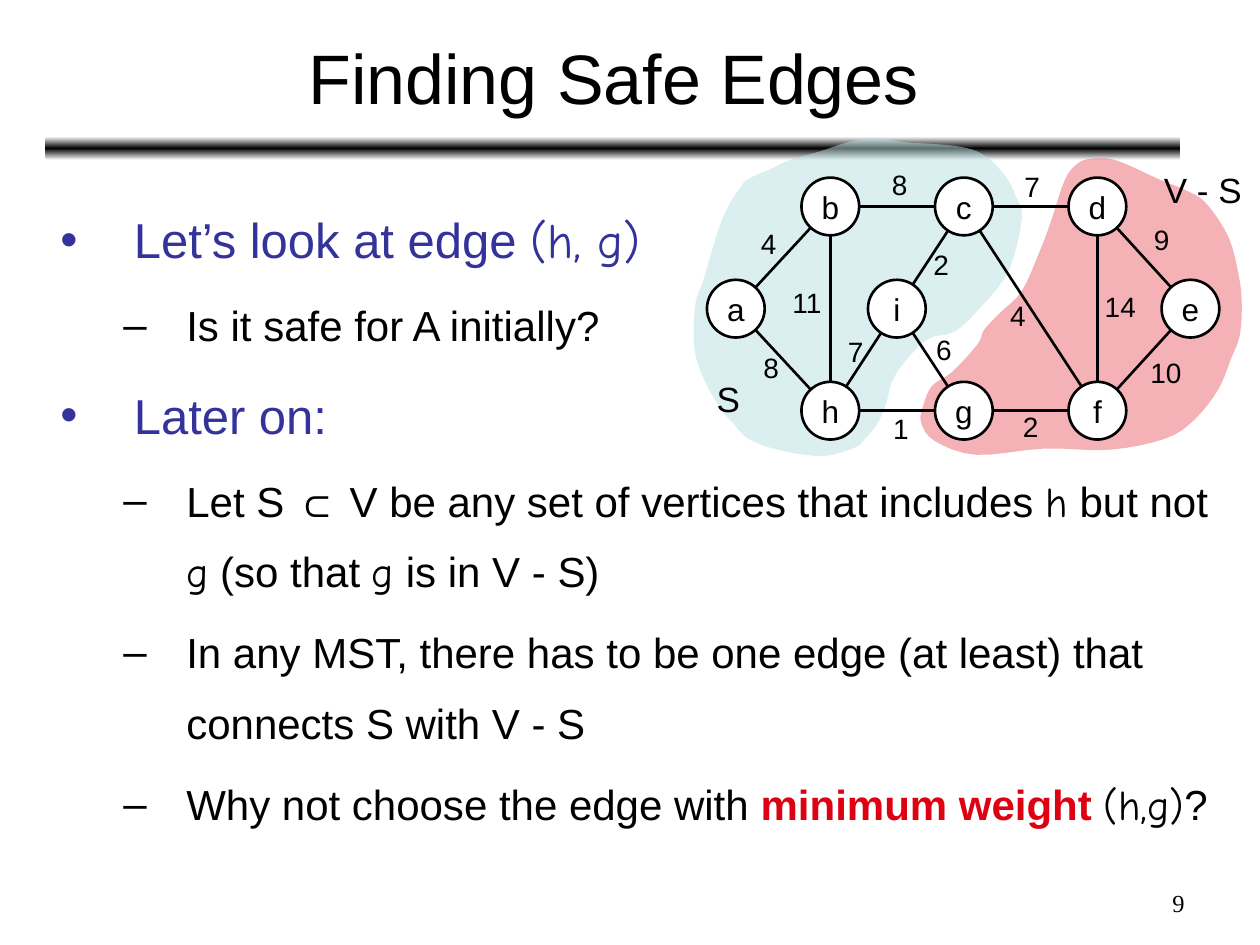
from copy import deepcopy
from math import hypot

from lxml import etree
from pptx import Presentation
from pptx.dml.color import RGBColor
from pptx.enum.shapes import MSO_CONNECTOR, MSO_SHAPE
from pptx.enum.text import MSO_ANCHOR, MSO_AUTO_SIZE, PP_ALIGN
from pptx.oxml.ns import qn
from pptx.util import Pt

BLACK = RGBColor(0x00, 0x00, 0x00)
WHITE = RGBColor(0xFF, 0xFF, 0xFF)
INDIGO = RGBColor(0x33, 0x33, 0x99)
RED = RGBColor(0xDD, 0x01, 0x11)
TEAL = RGBColor(0xBB, 0xE0, 0xE3)
STRAIGHT = MSO_CONNECTOR.STRAIGHT
OVAL = MSO_SHAPE.OVAL
ROUNDED = MSO_SHAPE.ROUNDED_RECTANGLE
MIDDLE = MSO_ANCHOR.MIDDLE
NO_FIT = MSO_AUTO_SIZE.NONE
CENTER, LEFT, RIGHT = PP_ALIGN.CENTER, PP_ALIGN.LEFT, PP_ALIGN.RIGHT
SANS, COMIC, SERIF = "Arial", "Comic Neue", "Times New Roman"

NODE_SIZE = 33
COLUMNS = {"a": 8, "b": 62, "h": 62, "i": 100, "c": 138.3, "g": 138.3,
           "d": 214.6, "f": 214.6, "e": 267.8}
ROWS = {"b": 22.3, "c": 22.3, "d": 22.3, "a": 80.7, "i": 80.7, "e": 80.7,
        "h": 139, "g": 139, "f": 139}
EDGES = [
    ("ab", 4, 31.7, 46.8), ("bc", 8, 106.6, 13), ("cd", 7, 182.2, 14.4),
    ("ah", 8, 33.1, 117.4), ("bh", 11, 49.7, 80.6), ("hg", 1, 107.3, 152.6),
    ("gf", 2, 181.4, 151.2), ("hi", 7, 81.4, 108.7), ("ic", 2, 130.3, 59),
    ("cf", 4, 174.2, 87.8), ("df", 14, 228.2, 82.8), ("de", 9, 256.3, 44.6),
    ("fe", 10, 254.2, 120.2), ("ig", 6, 131.8, 107.3),
]
OUTSIDE_S = [
    (227.5, 11.5), (219.6, 14.4), (212.4, 23.8), (204.5, 47.5), (198, 64.8),
    (187.9, 87.1), (175.7, 99.4), (166.3, 109.4), (162.7, 117.4), (148.3, 133.2),
    (136.8, 141.1), (131.8, 151.9), (130.3, 162), (138.2, 172.8), (162, 180.7),
    (200.9, 177.1), (238.3, 177.8), (270, 171.4), (286.6, 160.6), (300.2, 143.3),
    (307.4, 126), (312.5, 112.3), (313.6, 93.6), (311.8, 77.8), (306, 56.2),
    (293, 36.7), (281.5, 29.5), (265.7, 23), (252, 16.6), (239.8, 11.9),
]
INSIDE_S = [
    (33.1, 22.3), (44.6, 17.3), (55.4, 12.2), (70.6, 7.9), (97.9, 0),
    (122.4, 2.2), (150.5, 4.3), (166.3, 9.4), (178.6, 21.6), (184.3, 32.4),
    (187.9, 45.4), (180.7, 74.9), (166.3, 94.3), (149.8, 110.2), (133.2, 115.2),
    (115.9, 134.6), (110.2, 151.9), (105.1, 163.4), (97.2, 172.8), (92.9, 176.4),
    (74.9, 181.4), (51.8, 178.6), (32.4, 172.1), (22.3, 162), (16.6, 155.5),
    (6.5, 138.2), (0.7, 119.5), (1.4, 94.3), (5.8, 81.4), (16.6, 46.1), (27.4, 27.4),
]
BODY = [
    (0, [("Let’s look at edge ", SANS), ("(h, g)", COMIC)]),
    (1, [("Is it safe for A initially?", SANS)]),
    (0, [("Later on:", SANS)]),
    (1, [("Let S ⊂ V be any set of vertices that includes ", SANS), ("h", COMIC),
         (" but not ", SANS), ("g", COMIC), (" (so that ", SANS), ("g", COMIC),
         (" is in V - S)", SANS)]),
    (1, [("In any MST, there has to be one edge (at least) that "
          "connects S with V - S", SANS)]),
    (1, [("Why not choose the edge with ", SANS), ("minimum weight ", SANS, RED),
         ("(h,g)", COMIC), ("?", SANS)]),
]
LEVELS = [(42, 42, 7, "•", 28, INDIGO), (72, 36, 6, "–", 24, BLACK)]


def format_run(run, size, name=SANS, color=BLACK, bold=False):
    run.font.size, run.font.name, run.font.bold = Pt(size), name, bold
    run.font.color.rgb = color


def set_text(shape, text, size, align=LEFT, name=SANS, wrap=False):
    shape.text_frame.text = text
    shape.text_frame.word_wrap = wrap
    paragraph = shape.text_frame.paragraphs[0]
    paragraph.alignment = align
    format_run(paragraph.runs[0], size, name)


def add_label(slide, text, left, top, width, height, size, **options):
    label = slide.shapes.add_textbox(Pt(left), Pt(top), Pt(width), Pt(height))
    set_text(label, text, size, **options)


def add_heading(slide, left, top, width, height):
    title = slide.shapes.title
    title.left, title.top, title.width, title.height = map(Pt, (left, top, width, height))
    set_text(title, "Finding Safe Edges", 40, CENTER, wrap=True)
    title.text_frame.vertical_anchor = MIDDLE
    title.text_frame.auto_size = NO_FIT
    rule = slide.shapes.add_shape(ROUNDED, Pt(left - 0.7), Pt(top + 70),
                                  Pt(width + 0.8), Pt(13.5))
    rule.shadow.inherit = False
    rule.line.fill.background()
    rule.fill.gradient()
    rule.fill.gradient_angle = 90
    stops = rule._element.spPr.find(qn("a:gradFill")).find(qn("a:gsLst"))
    stops.append(deepcopy(stops[-1]))
    for stop, position, color in zip(rule.fill.gradient_stops, (0, 0.5, 1), (WHITE, BLACK, WHITE)):
        stop.position, stop.color.rgb = position, color


def smooth_outline(points, steps=4):
    outline = []
    for index, start in enumerate(points):
        before, end = points[index - 1], points[(index + 1) % len(points)]
        after = points[(index + 2) % len(points)]
        for t in (step / steps for step in range(steps)):
            outline.append(tuple(
                b + ((c - a) * t + (2 * a - 5 * b + 4 * c - d) * t ** 2
                     + (3 * b - a - 3 * c + d) * t ** 3) / 2
                for a, b, c, d in zip(before, start, end, after)))
    return outline


def add_region(slide, left, top, points, color, opacity):
    outline = [(Pt(left + x), Pt(top + y)) for x, y in smooth_outline(points)]
    builder = slide.shapes.build_freeform(*outline[0])
    builder.add_line_segments(outline[1:], close=True)
    region = builder.convert_to_shape()
    region.shadow.inherit = False
    region.line.fill.background()
    region.fill.solid()
    region.fill.fore_color.rgb = color
    fill_color = region._element.spPr.find(qn("a:solidFill"))[0]
    etree.SubElement(fill_color, qn("a:alpha")).set("val", str(opacity * 1000))


def add_edge(slide, left, top, start, end):
    radius = NODE_SIZE / 2
    x1, y1 = (left + COLUMNS[start] + radius, top + ROWS[start] + radius)
    x2, y2 = (left + COLUMNS[end] + radius, top + ROWS[end] + radius)
    ratio = radius / hypot(x2 - x1, y2 - y1)
    dx, dy = (x2 - x1) * ratio, (y2 - y1) * ratio
    edge = slide.shapes.add_connector(STRAIGHT, Pt(x1 + dx), Pt(y1 + dy),
                                      Pt(x2 - dx), Pt(y2 - dy))
    edge.line.color.rgb, edge.line.width = BLACK, Pt(1.5)
    etree.SubElement(edge._element.spPr, qn("a:effectLst"))


def add_node(slide, left, top, name):
    node = slide.shapes.add_shape(OVAL, Pt(left + COLUMNS[name]), Pt(top + ROWS[name]),
                                  Pt(NODE_SIZE), Pt(NODE_SIZE))
    node.shadow.inherit = False
    node.fill.solid()
    node.fill.fore_color.rgb = WHITE
    node.line.color.rgb, node.line.width = BLACK, Pt(1.5)
    set_text(node, name, 18, CENTER)
    node.text_frame.vertical_anchor = MIDDLE


def add_graph(slide, left, top):
    add_region(slide, left, top, OUTSIDE_S, RED, 30)
    add_region(slide, left, top, INSIDE_S, TEAL, 50)
    add_label(slide, "S", left + 6.5, top + 133.2, 28, 31.5, 20)
    add_label(slide, "V - S", left + 262, top + 13.7, 59, 31.5, 20)
    for name in COLUMNS:
        add_node(slide, left, top, name)
    for (start, end), weight, x, y in EDGES:
        add_edge(slide, left, top, start, end)
        width = 24 if weight < 10 else 34
        add_label(slide, str(weight), left + x, top + y, width, 26.6, 16)


def add_body(slide, left, top, width, height):
    body = slide.shapes.add_textbox(Pt(left), Pt(top), Pt(width), Pt(height))
    frame = body.text_frame
    frame.word_wrap = True
    for index, (level, pieces) in enumerate(BODY):
        paragraph = frame.add_paragraph() if index else frame.paragraphs[0]
        margin, hanging, space, bullet, size, color = LEVELS[level]
        paragraph.level = level
        paragraph.line_spacing, paragraph.space_before = 1.4, Pt(space)
        properties = paragraph._p.get_or_add_pPr()
        properties.set("marL", str(Pt(margin)))
        properties.set("indent", str(-Pt(hanging)))
        bullet_color = etree.SubElement(properties, qn("a:buClr"))
        etree.SubElement(bullet_color, qn("a:srgbClr")).set("val", str(color))
        etree.SubElement(properties, qn("a:buFont")).set("typeface", SANS)
        etree.SubElement(properties, qn("a:buChar")).set("char", bullet)
        for text, name, *accent in pieces:
            run = paragraph.add_run()
            run.text = text
            format_run(run, size, name, accent[0] if accent else color, bool(accent))


presentation = Presentation()
presentation.slide_width, presentation.slide_height = Pt(720), Pt(540)
slide = presentation.slides.add_slide(presentation.slide_layouts[5])
add_heading(slide, 26.6, 8, 648, 71)
add_body(slide, 27.4, 103, 678, 400)
add_graph(slide, 396, 79.2)
add_label(slide, "9", 516, 504, 168, 25, 14, align=RIGHT, name=SERIF, wrap=True)
presentation.save("out.pptx")
